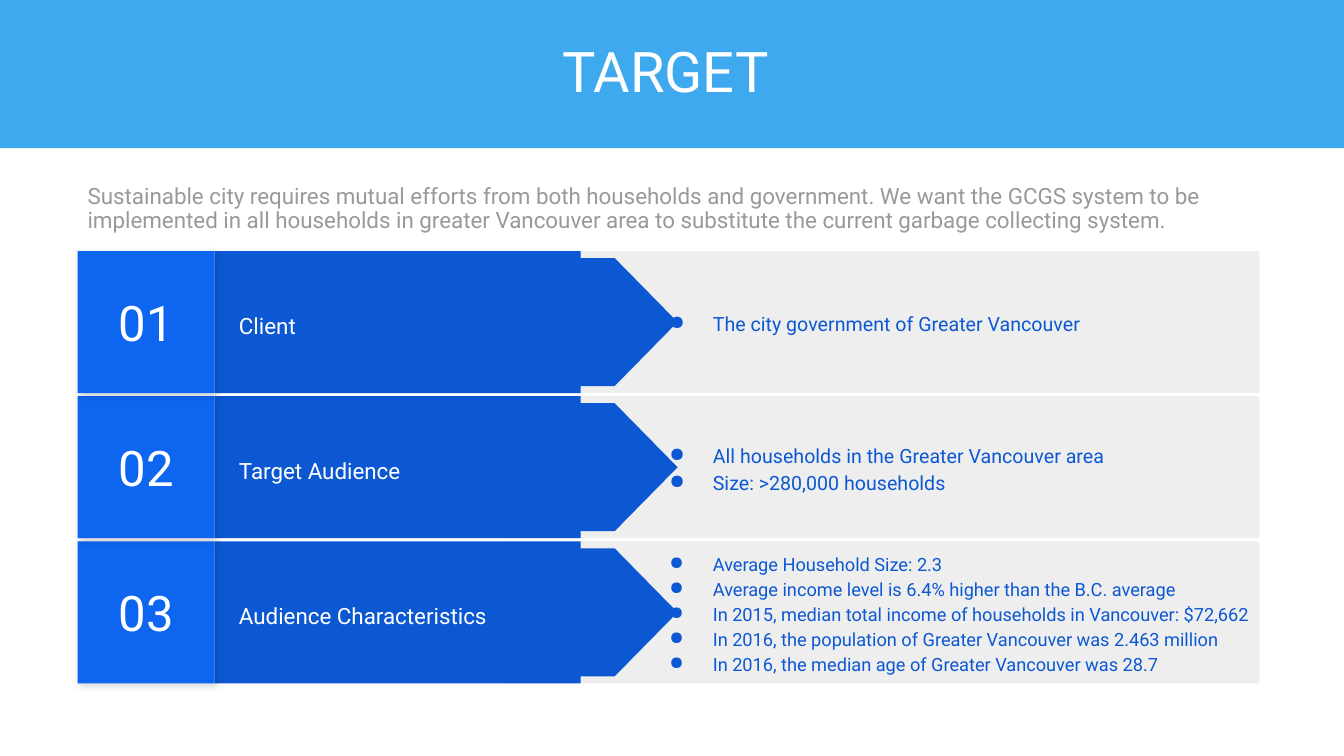
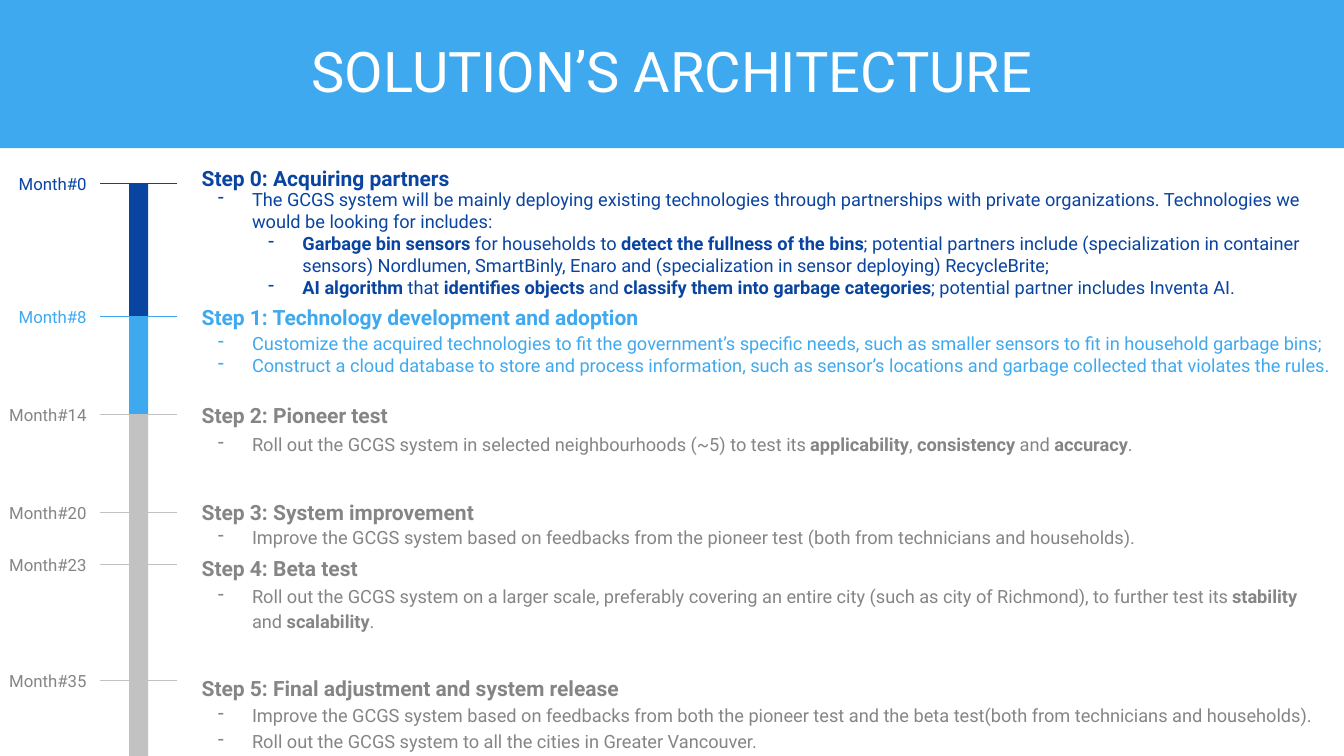
from dataclasses import dataclass

from lxml import etree
from pptx import Presentation, util as u
from pptx.dml.color import RGBColor
from pptx.enum import shapes, text
from pptx.oxml import ns

WIDTH, HEIGHT = 13.33, 7.5
FONT = "Roboto"
WHITE = RGBColor(0xFF, 0xFF, 0xFF)
SKY = RGBColor(0x3F, 0xA9, 0xEF)
NAVY = RGBColor(0x09, 0x44, 0xA1)
BLUE = RGBColor(0x0C, 0x58, 0xD3)
BRIGHT = RGBColor(0x0E, 0x65, 0xF0)
PANEL = RGBColor(0xEE, 0xEE, 0xEE)
INTRO = RGBColor(0x99, 0x99, 0x99)
GREY = RGBColor(0x85, 0x85, 0x85)
SILVER = RGBColor(0xC2, 0xC2, 0xC2)
LEFT, CENTER, RIGHT = text.PP_ALIGN.LEFT, text.PP_ALIGN.CENTER, text.PP_ALIGN.RIGHT
TOP, MIDDLE = text.MSO_ANCHOR.TOP, text.MSO_ANCHOR.MIDDLE


# Shared building blocks
def inches(*lengths):
    return [u.Inches(length) for length in lengths]


def add_xml(parent, tag, **attributes):
    return etree.SubElement(parent, ns.qn(tag), attributes)


def add_block(page, box, fill, kind=shapes.MSO_SHAPE.RECTANGLE):
    block = page.shapes.add_shape(kind, *inches(*box))
    block.shadow.inherit = False
    block.fill.solid()
    block.fill.fore_color.rgb = fill
    block.line.fill.background()
    return block


def add_bullet(para, mark, color, margin, hang):
    props = para._p.get_or_add_pPr()
    props.set("marL", str(u.Inches(margin)))
    props.set("indent", str(-u.Inches(hang)))
    add_xml(add_xml(props, "a:buClr"), "a:srgbClr", val=str(color))
    add_xml(props, "a:buChar", char=mark)


def write(shape, lines, size, color, spacing=1.15, align=LEFT, anchor=TOP,
          bold=None, inset=(0.13, 0.13), mark=None, step=0.67, hang=0.43):
    """Each line is (level, words); words between ** are bold."""
    frame = shape.text_frame
    frame.word_wrap = True
    frame.vertical_anchor = anchor
    frame.margin_left = frame.margin_right = u.Inches(inset[0])
    frame.margin_top = frame.margin_bottom = u.Inches(inset[1])
    for index, (level, words) in enumerate(lines):
        para = frame.add_paragraph() if index else frame.paragraphs[0]
        if mark:
            add_bullet(para, mark, color, level * step, hang)
        para.alignment = align
        para.line_spacing = spacing
        para.font.name = FONT
        para.font.size = u.Pt(size)
        para.font.color.rgb = color
        para.font.bold = bold
        for part, piece in enumerate(words.split("**")):
            if piece:
                span = para.add_run()
                span.text = piece
                if part % 2:
                    span.font.bold = True


def add_text(page, box, lines, size, color, **style):
    write(page.shapes.add_textbox(*inches(*box)), lines, size, color, **style)


def add_page(deck, title):
    page = deck.slides.add_slide(deck.slide_layouts[6])
    band = add_block(page, (0, 0, WIDTH, 1.47), SKY)
    write(band, [(0, title)], 40, WHITE, spacing=0.9, align=CENTER,
          anchor=MIDDLE, inset=(0.1, 0.05))
    return page


# Target slide
TARGETS = [
    ("Client", 14, ["The city government of Greater Vancouver"]),
    ("Target Audience", 14, ["All households in the Greater Vancouver area",
                             "Size: >280,000 households"]),
    ("Audience Characteristics", 13, [
        "Average Household Size: 2.3",
        "Average income level is 6.4% higher than the B.C. average",
        "In 2015, median total income of households in Vancouver: $72,662",
        "In 2016, the population of Greater Vancouver was 2.463 million",
        "In 2016, the median age of Greater Vancouver was 28.7"]),
]


def add_soft_shadow(shape):
    effects = shape._element.spPr.find(ns.qn("a:effectLst"))
    shadow = add_xml(effects, "a:outerShdw", blurRad=str(u.Pt(5.6)),
                     dist=str(u.Pt(2.2)), dir="2700000", rotWithShape="0")
    add_xml(add_xml(shadow, "a:srgbClr", val="000000"), "a:alpha", val="17000")


def add_target_row(page, box, number, label, size, facts):
    left, top, width, height = box
    number_width, label_width = 1.36, 3.63
    label_left = left + number_width
    # Panel, label bar and arrow
    add_block(page, (left + 4.2, top, width - 4.2, height), PANEL)
    add_block(page, (label_left, top, label_width, height), BLUE)
    length, thick = 3.12, 1.27
    middle_x, middle_y = left + 4.39, top + height / 2
    arrow = add_block(page, (middle_x - thick / 2, middle_y - length / 2, thick, length),
                      BLUE, shapes.MSO_SHAPE.FLOWCHART_OFFPAGE_CONNECTOR)
    arrow.rotation = 270
    add_text(page, (label_left + 0.11, top + 0.17, 3.82, 1.09), [(0, label)],
             16, WHITE, anchor=MIDDLE)
    # Number and facts
    square = add_block(page, (left, top, number_width, height), BRIGHT)
    add_soft_shadow(square)
    write(square, [(0, f"{number:02}")], 35, WHITE, spacing=1.0,
          align=CENTER, anchor=MIDDLE)
    add_text(page, (left + 5.5, top, 6.55, height), [(1, fact) for fact in facts],
             size, BLUE, anchor=MIDDLE, mark="●")


def build_target(deck):
    page = add_page(deck, "TARGET ")
    left, width = 0.77, 11.72
    for index, target in reversed(list(enumerate(TARGETS))):
        add_target_row(page, (left, 2.49 + index * 1.44, width, 1.41), index + 1, *target)
    add_text(page, (left, 1.74, width, 0.64), [(0, (
        "Sustainable city requires mutual efforts from both households and government. "
        "We want the GCGS system to be implemented in all households in greater Vancouver "
        "area to substitute the current garbage collecting system."))],
        16, INTRO, spacing=0.9, inset=(0.1, 0.1))


# Timeline slide
@dataclass
class Step:
    month: int
    tick: float
    heading_top: float
    body_top: float
    heading: str
    lines: list
    color: RGBColor = GREY
    bar: RGBColor = SILVER
    spacing: float = 1.15
    body_width: float = 11.38


STEPS = [
    Step(0, 1.82, 1.47, 1.74, "Acquiring partners", [
        (1, "The GCGS system will be mainly deploying existing technologies through "
            "partnerships with private organizations. Technologies we would be looking "
            "for includes:"),
        (2, "**Garbage bin sensors** for households to **detect the fullness of the bins**; "
            "potential partners include (specialization in container sensors) Nordlumen, "
            "SmartBinly, Enaro and (specialization in sensor deploying) RecycleBrite;"),
        (2, "**AI algorithm** that **identifies objects** and **classify them into garbage "
            "categories**; potential partner includes Inventa AI.")],
        NAVY, NAVY, 1.0),
    Step(8, 3.14, 2.85, 3.17, "Technology development and adoption", [
        (1, "Customize the acquired technologies to fit the government’s specific needs, "
            "such as smaller sensors to fit in household garbage bins;"),
        (1, "Construct a cloud database to store and process information, such as sensor’s "
            "locations and garbage collected that violates the rules.")],
        SKY, SKY, 1.0, 11.71),
    Step(14, 4.11, 3.83, 4.14, "Pioneer test", [
        (1, "Roll out the GCGS system in selected neighbourhoods (~5) to test its "
            "**applicability**, **consistency** and **accuracy**.")]),
    Step(20, 5.08, 4.79, 5.06, "System improvement", [
        (1, "Improve the GCGS system based on feedbacks from the pioneer test "
            "(both from technicians and households).")]),
    Step(23, 5.6, 5.34, 5.64, "Beta test", [
        (1, "Roll out the GCGS system on a larger scale, preferably covering an entire city "
            "(such as city of Richmond), to further test its **stability** and "
            "**scalability**.")]),
    Step(35, 6.75, 6.53, 6.83, "Final adjustment and system release", [
        (1, "Improve the GCGS system based on feedbacks from both the pioneer test and the "
            "beta test(both from technicians and households)."),
        (1, "Roll out the GCGS system to all the cities in Greater Vancouver.")]),
]


def add_step(page, number, step, bottom):
    text_left = 1.87
    # Month, bar and tick
    add_text(page, (-0.12, step.tick - 0.24, 1.11, 0.5), [(0, f"Month#{step.month}")],
             12, step.color, align=RIGHT)
    add_block(page, (1.28, step.tick, 0.19, bottom - step.tick), step.bar)
    tick = page.shapes.add_connector(shapes.MSO_CONNECTOR.STRAIGHT,
                                     *inches(1.76, step.tick, 0.99, step.tick))
    tick.line.color.rgb = step.bar
    tick.line.width = u.Pt(0.75)
    add_xml(tick._element.spPr, "a:effectLst")
    # Heading and details
    add_text(page, (text_left, step.heading_top, 6.86, 0.4),
             [(0, f"Step {number}: {step.heading}")], 15, step.color, bold=True)
    add_text(page, (text_left, step.body_top, step.body_width, bottom - step.body_top),
             step.lines, 13, step.color, spacing=step.spacing,
             mark="-", step=0.5, hang=0.34)


def build_timeline(deck):
    page = add_page(deck, "SOLUTION’S ARCHITECTURE")
    bottoms = [step.tick for step in STEPS[1:]] + [HEIGHT]
    for number, (step, bottom) in enumerate(zip(STEPS, bottoms)):
        add_step(page, number, step, bottom)


def main():
    deck = Presentation()
    deck.slide_width, deck.slide_height = inches(WIDTH, HEIGHT)
    build_target(deck)
    build_timeline(deck)
    deck.save("out.pptx")


if __name__ == "__main__":
    main()
